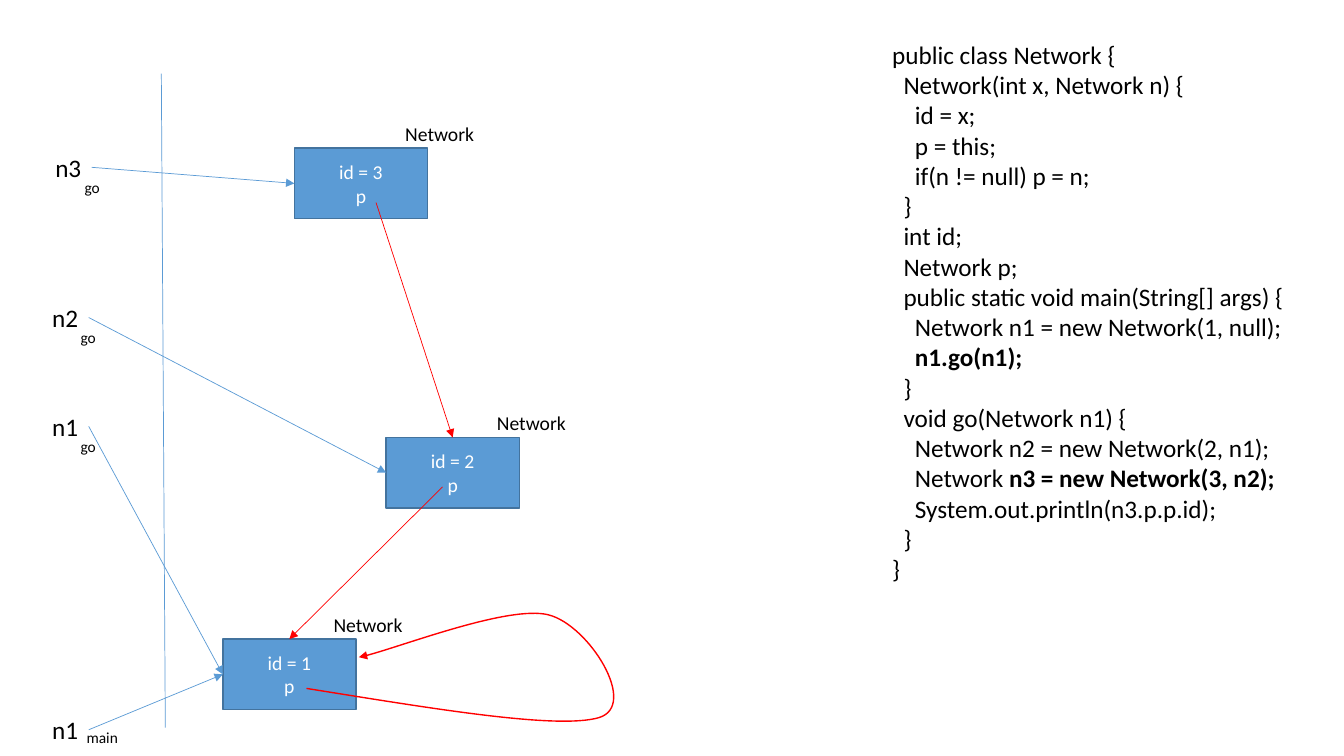
from dataclasses import dataclass

from lxml import etree
from pptx import Presentation
from pptx.dml.color import RGBColor
from pptx.enum.shapes import MSO_CONNECTOR, MSO_SHAPE
from pptx.enum.text import MSO_ANCHOR, MSO_AUTO_SIZE, PP_ALIGN
from pptx.oxml.ns import qn
from pptx.util import Inches, Pt

STRAIGHT = MSO_CONNECTOR.STRAIGHT
RECTANGLE = MSO_SHAPE.RECTANGLE
CENTER = PP_ALIGN.CENTER
MIDDLE = MSO_ANCHOR.MIDDLE
FIT_TEXT = MSO_AUTO_SIZE.SHAPE_TO_FIT_TEXT
TOP_SITE, LEFT_SITE = 0, 1

FONT = "Calibri"
BLACK, WHITE = "000000", "FFFFFF"
BLUE, DARK_BLUE, RED = "5B9BD5", "43739E", "FF0000"
BOX_WIDTH, BOX_HEIGHT = 1.32, 0.7
INDENT = 0.113


@dataclass
class NetworkObject:
    number: int
    left: float
    top: float


@dataclass
class Variable:
    name: str
    method: str
    left: float
    top: float
    method_left: float
    method_top: float
    target: int


@dataclass
class Reference:
    start: tuple[float, float]
    target: int


@dataclass
class CodeLine:
    level: int
    plain: str
    bold: str = ""


OBJECTS = [
    NetworkObject(1, 2.21, 6.34),
    NetworkObject(2, 3.83, 4.34),
    NetworkObject(3, 2.92, 1.47),
]
VARIABLES = [
    Variable("n1", "main", 0.42, 7.04, 0.76, 7.17, 1),
    Variable("n1", "go", 0.42, 4.03, 0.7, 4.29, 1),
    Variable("n2", "go", 0.42, 2.95, 0.7, 3.21, 2),
    Variable("n3", "go", 0.45, 1.46, 0.74, 1.72, 3),
]
REFERENCES = [Reference((4.39, 4.83), 1), Reference((3.73, 2.01), 2)]
LOOP_BOX = (3.04, 6.09, 3.04, 1.06)
LOOP_START = (3.04, 6.83)
LOOP_CURVES = [
    [(4.29, 7.03), (5.53, 7.24), (5.94, 7.12)],
    [(6.34, 7.0), (5.84, 6.2), (5.44, 6.1)],
    [(5.05, 6.0), (3.84, 6.47), (3.56, 6.52)],
]
CODE = [
    CodeLine(0, "public class Network {"),
    CodeLine(1, "Network(int x, Network n) {"),
    CodeLine(2, "id = x;"),
    CodeLine(2, "p = this;"),
    CodeLine(2, "if(n != null) p = n;"),
    CodeLine(1, "}"),
    CodeLine(1, "int id;"),
    CodeLine(1, "Network p;"),
    CodeLine(1, "public static void main(String[] args) {"),
    CodeLine(2, "Network n1 = new Network(1, null);"),
    CodeLine(2, "", "n1.go(n1);"),
    CodeLine(1, "}"),
    CodeLine(1, "void go(Network n1) {"),
    CodeLine(2, "Network n2 = new Network(2, n1);"),
    CodeLine(2, "Network ", "n3 = new Network(3, n2);"),
    CodeLine(2, "System.out.println(n3.p.p.id);"),
    CodeLine(1, "}"),
    CodeLine(0, "}"),
]


def color(value: str) -> RGBColor:
    return RGBColor.from_string(value)


def format_text(text_frame, size: float, text_color: str) -> None:
    for paragraph in text_frame.paragraphs:
        for run in paragraph.runs:
            run.font.name = FONT
            run.font.size = Pt(size)
            run.font.color.rgb = color(text_color)


def add_text(slide, left: float, top: float, width: float, height: float,
             text: str, size: float):
    shape = slide.shapes.add_textbox(*map(Inches, (left, top, width, height)))
    text_frame = shape.text_frame
    text_frame.word_wrap = False
    text_frame.auto_size = FIT_TEXT
    text_frame.text = text
    format_text(text_frame, size, BLACK)
    return text_frame


def add_code(slide) -> None:
    text = "\n".join(line.plain for line in CODE)
    text_frame = add_text(slide, 8.75, 0.34, 4.13, 5.86, text, 18)
    for paragraph, line in zip(text_frame.paragraphs, CODE):
        properties = paragraph._p.get_or_add_pPr()
        properties.set("marL", str(Inches(line.level * INDENT)))
        properties.set("indent", "0")
        if line.bold:
            run = paragraph.add_run()
            run.text = line.bold
            run.font.bold = True
    format_text(text_frame, 18, BLACK)


def add_object(slide, item: NetworkObject):
    shape = slide.shapes.add_shape(
        RECTANGLE, *map(Inches, (item.left, item.top, BOX_WIDTH, BOX_HEIGHT)))
    shape.shadow.inherit = False
    shape.fill.solid()
    shape.fill.fore_color.rgb = color(BLUE)
    shape.line.color.rgb = color(DARK_BLUE)
    shape.line.width = Pt(1)
    shape.text_frame.text = f"id = {item.number}\np"
    shape.text_frame.vertical_anchor = MIDDLE
    for paragraph in shape.text_frame.paragraphs:
        paragraph.alignment = CENTER
    format_text(shape.text_frame, 14, WHITE)
    add_text(slide, item.left + 1, item.top - 0.31, 0.89, 0.34, "Network", 14)
    return shape


def style_line(shape, line_color: str, width: float, arrow: bool) -> None:
    shape.line.color.rgb = color(line_color)
    shape.line.width = Pt(width)
    if arrow:
        line = shape.line._get_or_add_ln()
        etree.SubElement(line, qn("a:tailEnd"), type="triangle")


def add_line(slide, start: tuple[float, float], end: tuple[float, float],
             line_color: str, target=None, site: int = LEFT_SITE) -> None:
    connector = slide.shapes.add_connector(STRAIGHT, *map(Inches, start + end))
    if target is not None:
        connector.end_connect(target, site)
    style_line(connector, line_color, 0.5, target is not None)
    etree.SubElement(connector._element.spPr, qn("a:effectLst"))


def add_loop(slide) -> None:
    left, top, width, height = map(Inches, LOOP_BOX)
    builder = slide.shapes.build_freeform(*map(Inches, LOOP_START))
    anchors = [tuple(map(Inches, curve[-1])) for curve in LOOP_CURVES]
    builder.add_line_segments(anchors, close=False)
    shape = builder.convert_to_shape()
    shape.left, shape.top, shape.width, shape.height = left, top, width, height
    path = shape._element.find(".//" + qn("a:path"))
    for command in list(path):
        path.remove(command)
    path.set("w", str(width))
    path.set("h", str(height))
    commands = [("a:moveTo", [LOOP_START])]
    commands += [("a:cubicBezTo", curve) for curve in LOOP_CURVES]
    for tag, points in commands:
        command = etree.SubElement(path, qn(tag))
        for x, y in points:
            etree.SubElement(command, qn("a:pt"),
                             x=str(Inches(x) - left), y=str(Inches(y) - top))
    shape.shadow.inherit = False
    shape.fill.background()
    style_line(shape, RED, 1, True)


presentation = Presentation()
presentation.slide_width = Inches(13.33)
presentation.slide_height = Inches(7.5)
slide = presentation.slides.add_slide(presentation.slide_layouts[6])

add_code(slide)
add_line(slide, (1.6, 0.73), (1.64, 7.22), BLUE)
boxes = {item.number: add_object(slide, item) for item in OBJECTS}
for variable in VARIABLES:
    add_text(slide, variable.left, variable.top, 0.46, 0.4, variable.name, 18)
    add_text(slide, variable.method_left, variable.method_top,
             0.51 if variable.method == "main" else 0.35, 0.29, variable.method, 11)
    start = (variable.left + 0.46, variable.top + 0.2)
    add_line(slide, start, start, BLUE, boxes[variable.target])
for reference in REFERENCES:
    add_line(slide, reference.start, reference.start, RED,
             boxes[reference.target], TOP_SITE)
add_loop(slide)

presentation.save("out.pptx")
